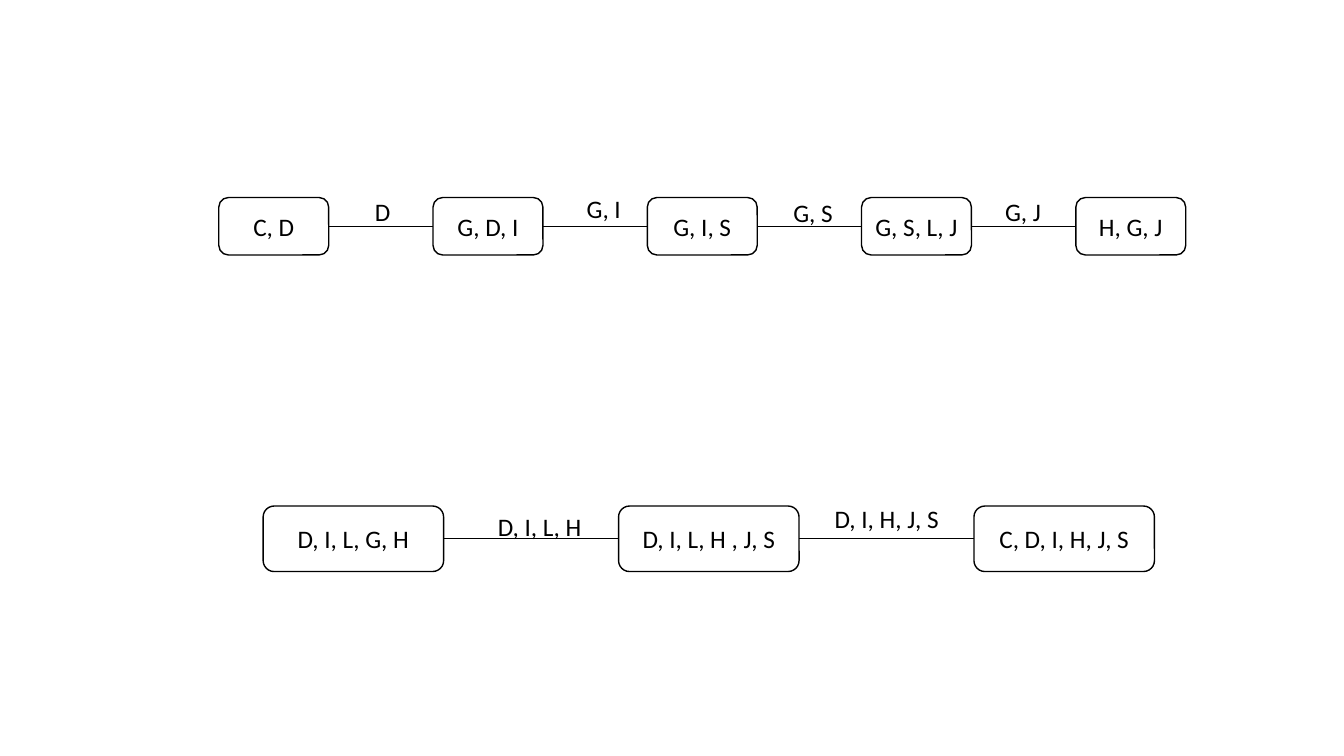
from dataclasses import dataclass

from lxml.etree import SubElement
from pptx import Presentation
from pptx.dml.color import RGBColor
from pptx.enum.shapes import MSO_CONNECTOR, MSO_SHAPE
from pptx.enum.text import MSO_ANCHOR, MSO_AUTO_SIZE, PP_ALIGN
from pptx.oxml.ns import qn
from pptx.shapes.autoshape import Shape
from pptx.slide import Slide
from pptx.text.text import TextFrame
from pptx.util import Inches, Pt

BLACK = RGBColor(0, 0, 0)
WHITE = RGBColor(255, 255, 255)
FONT_FORMAT = {"name": "Calibri", "size": Pt(18)}
CLIQUE_FRAME = {"vertical_anchor": MSO_ANCHOR.MIDDLE, "word_wrap": True}
SEPARATOR_FRAME = {"word_wrap": False, "auto_size": MSO_AUTO_SIZE.SHAPE_TO_FIT_TEXT}
RIGHT_SITE, LEFT_SITE = 3, 1
SEPARATOR_HEIGHT = 0.4


@dataclass(frozen=True)
class Separator:
    """Variables shared by two neighbouring cliques."""
    variables: str
    left: float
    top: float
    width: float


@dataclass(frozen=True)
class CliqueChain:
    """Evenly spaced cliques joined by separators; lengths in inches."""
    left: float
    top: float
    width: float
    height: float
    pitch: float
    cliques: tuple[str, ...]
    separators: tuple[Separator, ...]


CHAINS = (
    CliqueChain(
        2.17, 1.96, 1.09, 0.57, 2.125,
        ("C, D", "G, D, I", "G, I, S", "G, S, L, J", "H, G, J"),
        (
            Separator("D", 3.62, 1.9, 0.36),
            Separator("G, I", 5.72, 1.87, 0.55),
            Separator("G, S", 7.77, 1.91, 0.6),
            Separator("G, J", 9.87, 1.9, 0.56),
        ),
    ),
    CliqueChain(
        2.61, 5.02, 1.79, 0.65, 3.525,
        ("D, I, L, G, H", "D, I, L, H , J, S", "C, D, I, H, J, S"),
        (
            Separator("D, I, L, H", 4.84, 5.02, 1.04),
            Separator("D, I, H, J, S", 8.18, 4.94, 1.25),
        ),
    ),
)


def write_variables(frame: TextFrame, variables: str, alignment: PP_ALIGN,
                    frame_format: dict) -> None:
    for attribute, value in frame_format.items():
        setattr(frame, attribute, value)
    paragraph = frame.paragraphs[0]
    paragraph.alignment = alignment
    run = paragraph.add_run()
    run.text = variables
    for attribute, value in FONT_FORMAT.items():
        setattr(run.font, attribute, value)
    run.font.color.rgb = BLACK


def draw_clique(slide: Slide, chain: CliqueChain, index: int) -> Shape:
    clique = slide.shapes.add_shape(
        MSO_SHAPE.ROUNDED_RECTANGLE,
        Inches(chain.left + index * chain.pitch), Inches(chain.top),
        Inches(chain.width), Inches(chain.height))
    clique.shadow.inherit = False
    clique.fill.solid()
    clique.fill.fore_color.rgb = WHITE
    clique.line.color.rgb = BLACK
    clique.line.width = Pt(1)
    write_variables(clique.text_frame, chain.cliques[index], PP_ALIGN.CENTER, CLIQUE_FRAME)
    return clique


def draw_edge(slide: Slide, start: Shape, end: Shape) -> None:
    edge = slide.shapes.add_connector(MSO_CONNECTOR.STRAIGHT, 0, 0, 0, 0)
    edge.begin_connect(start, RIGHT_SITE)
    edge.end_connect(end, LEFT_SITE)
    edge.line.color.rgb = BLACK
    edge.line.width = Pt(0.5)
    SubElement(edge._element.spPr, qn("a:effectLst"))


def draw_separator(slide: Slide, separator: Separator) -> None:
    label = slide.shapes.add_textbox(
        Inches(separator.left), Inches(separator.top),
        Inches(separator.width), Inches(SEPARATOR_HEIGHT))
    write_variables(label.text_frame, separator.variables, PP_ALIGN.LEFT, SEPARATOR_FRAME)


def draw_chain(slide: Slide, chain: CliqueChain) -> None:
    cliques = [draw_clique(slide, chain, index) for index in range(len(chain.cliques))]
    for start, end in zip(cliques, cliques[1:]):
        draw_edge(slide, start, end)
    for separator in chain.separators:
        draw_separator(slide, separator)


# Blank widescreen slide
presentation = Presentation()
presentation.slide_width = Inches(13.33)
presentation.slide_height = Inches(7.5)
clique_slide = presentation.slides.add_slide(presentation.slide_layouts[6])

# Both clique chains
for clique_chain in CHAINS:
    draw_chain(clique_slide, clique_chain)

presentation.save("out.pptx")
